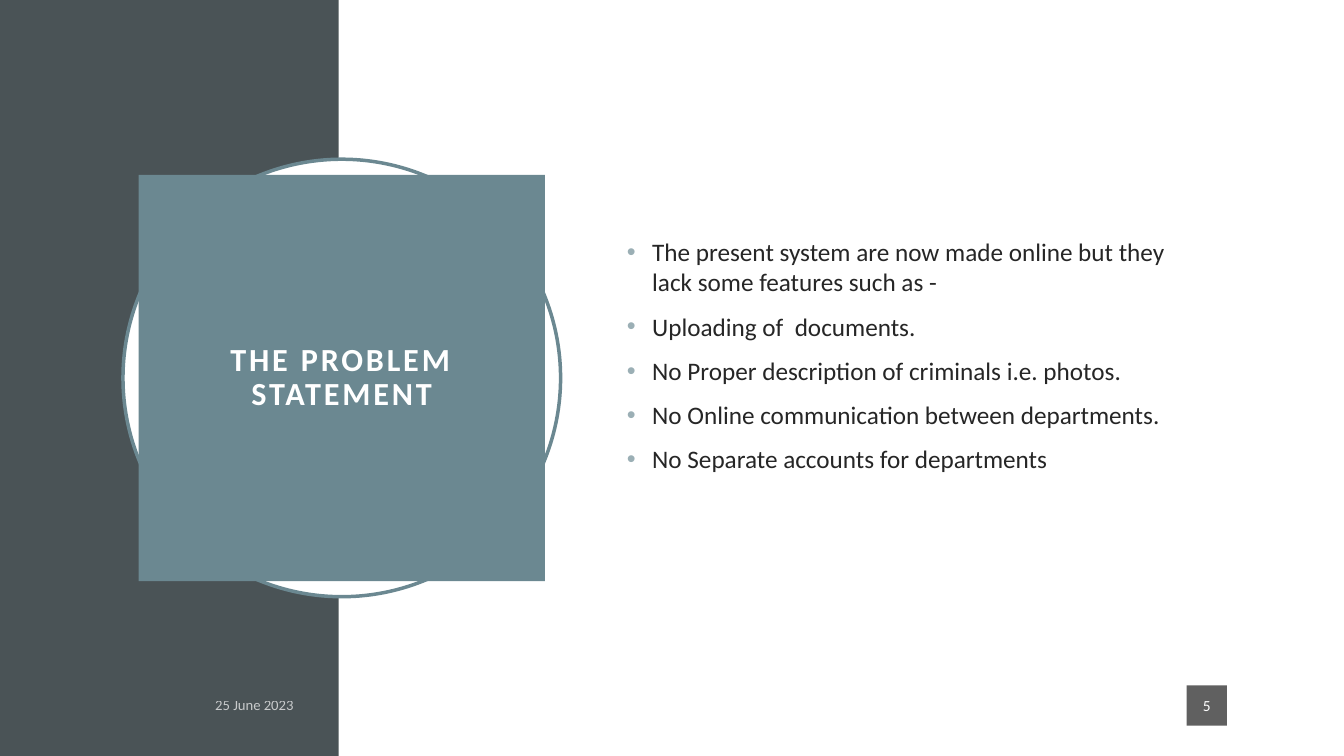
from pptx import Presentation
from pptx.dml.color import RGBColor
from pptx.enum.shapes import MSO_SHAPE
from pptx.enum.text import MSO_ANCHOR, PP_ALIGN
from pptx.oxml.ns import qn
from pptx.util import Inches, Pt
from lxml.etree import SubElement

TITLE = "THE PROBLEM STATEMENT"
POINTS = [
    "The present system are now made online but they lack some features such as -",
    "Uploading of  documents.",
    "No Proper description of criminals i.e. photos.",
    "No Online communication between departments.",
    "No Separate accounts for departments",
]
DATE = "25 June 2023"
NUMBER = "5"

THEME = {
    "font": "Calibri",
    "slate": "4A5356",
    "teal": "6B8891",
    "bullet": "9BAFB5",
    "white": "FFFFFF",
    "ink": "262626",
    "badge": "1D1D1D",
    "title_size": 23,
    "body_size": 18,
    "date_size": 10.5,
    "number_size": 11,
}

SLIDE_WIDTH, SLIDE_HEIGHT = 13.33, 7.5
PANEL_WIDTH = 3.36
CENTER_X, CENTER_Y = 3.39, 3.75
CIRCLE_SIZE, TITLE_SIZE, BADGE_SIZE = 4.34, 4.03, 0.4


def centered_square(size):
    return CENTER_X - size / 2, CENTER_Y - size / 2, size, size


def set_alpha(color_format_parent, percent):
    color = next(color_format_parent.iter(qn("a:srgbClr")))
    SubElement(color, qn("a:alpha")).set("val", str(percent * 1000))


def add_block(slide, kind, box, fill, line=None):
    shape = slide.shapes.add_shape(kind, *map(Inches, box))
    shape.shadow.inherit = False
    shape.fill.solid()
    shape.fill.fore_color.rgb = RGBColor.from_string(fill)
    if line:
        shape.line.color.rgb = RGBColor.from_string(line)
        shape.line.width = Pt(2.5)
    else:
        shape.line.fill.background()
    return shape


def add_bullet(paragraph):
    properties = paragraph._p.get_or_add_pPr()
    properties.set("marL", str(Inches(0.25)))
    properties.set("indent", str(-Inches(0.25)))
    color = SubElement(properties, qn("a:buClr"))
    SubElement(color, qn("a:srgbClr")).set("val", THEME["bullet"])
    SubElement(properties, qn("a:buFont")).set("typeface", "Arial")
    SubElement(properties, qn("a:buChar")).set("char", "•")


def write_text(shape, lines, size, color, align=PP_ALIGN.LEFT, bold=False,
               insets=(0.1, 0.05, 0.1, 0.05), before=0, after=0,
               line_spacing=1.0, tracking=0, alpha=None, bullets=False):
    frame = shape.text_frame
    frame.word_wrap = True
    frame.vertical_anchor = MSO_ANCHOR.MIDDLE
    (frame.margin_left, frame.margin_top,
     frame.margin_right, frame.margin_bottom) = map(Inches, insets)
    for index, line in enumerate(lines):
        paragraph = frame.add_paragraph() if index else frame.paragraphs[0]
        paragraph.alignment = align
        paragraph.line_spacing = line_spacing
        paragraph.space_before = Pt(before)
        paragraph.space_after = Pt(after)
        if bullets:
            add_bullet(paragraph)
        run = paragraph.add_run()
        run.text = line
        run.font.name = THEME["font"]
        run.font.size = Pt(size)
        run.font.bold = bold
        run.font.color.rgb = RGBColor.from_string(color)
        properties = run._r.get_or_add_rPr()
        if tracking:
            properties.set("spc", str(tracking * 100))
        if alpha:
            set_alpha(properties, alpha)


def main():
    presentation = Presentation()
    presentation.slide_width = Inches(SLIDE_WIDTH)
    presentation.slide_height = Inches(SLIDE_HEIGHT)
    slide = presentation.slides.add_slide(presentation.slide_layouts[6])

    add_block(slide, MSO_SHAPE.RECTANGLE, (0, 0, PANEL_WIDTH, SLIDE_HEIGHT), THEME["slate"])
    add_block(slide, MSO_SHAPE.OVAL, centered_square(CIRCLE_SIZE), THEME["white"], THEME["teal"])

    title = add_block(slide, MSO_SHAPE.RECTANGLE, centered_square(TITLE_SIZE), THEME["teal"])
    write_text(title, [TITLE], THEME["title_size"], THEME["white"], align=PP_ALIGN.CENTER,
               bold=True, insets=(0.2,) * 4, line_spacing=0.9, tracking=2)

    body = slide.shapes.add_textbox(*map(Inches, (6.12, 1.53, 5.82, 4.43)))
    write_text(body, POINTS, THEME["body_size"], THEME["ink"], before=10,
               insets=(0.1, 0.05, 0.1, 0.49), bullets=True)

    date = slide.shapes.add_textbox(*map(Inches, (0.51, 6.82, 2.5, 0.35)))
    write_text(date, [DATE], THEME["date_size"], THEME["white"], align=PP_ALIGN.RIGHT,
               after=6, alpha=70)

    badge = add_block(slide, MSO_SHAPE.RECTANGLE, (11.77, 6.8, BADGE_SIZE, BADGE_SIZE), THEME["badge"])
    set_alpha(badge._element.spPr, 70)
    write_text(badge, [NUMBER], THEME["number_size"], THEME["white"], align=PP_ALIGN.CENTER,
               insets=(0.02, 0.05, 0.02, 0.05), after=6)

    presentation.save("out.pptx")


if __name__ == "__main__":
    main()
